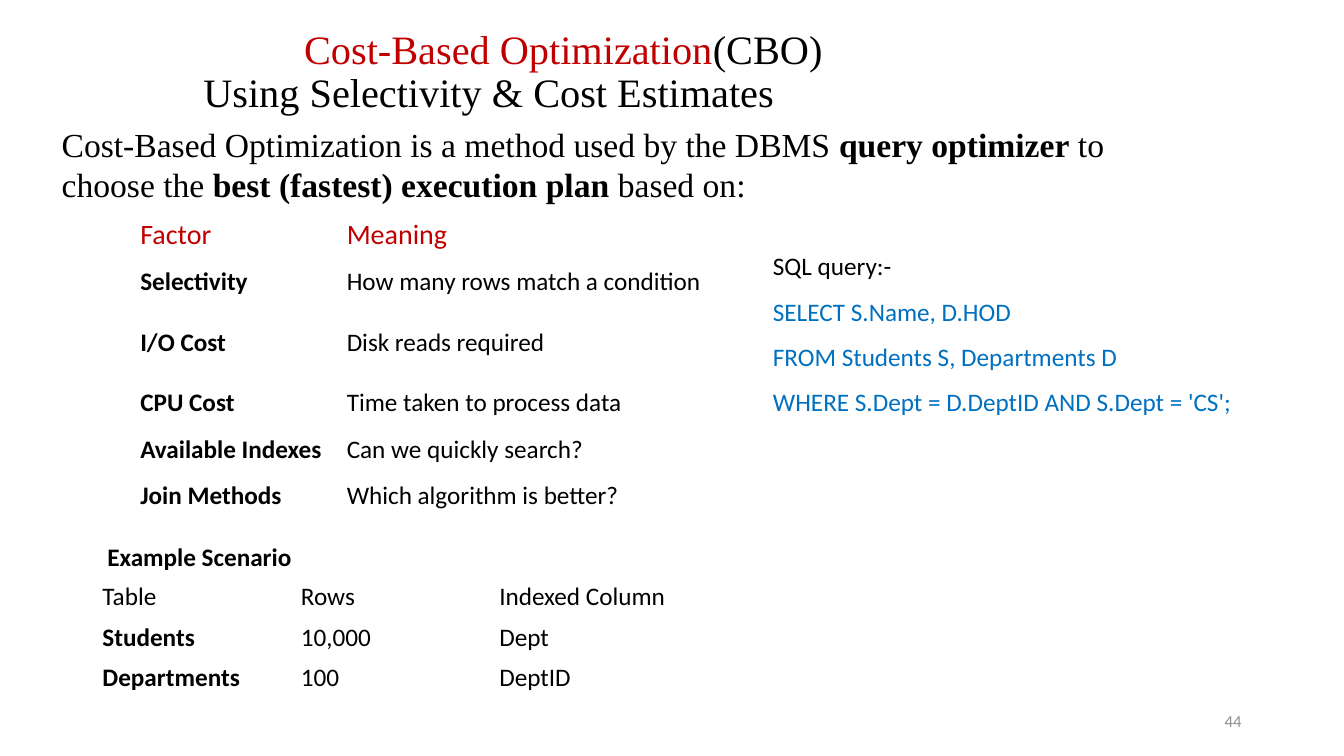
import lxml.etree
import pptx
import pptx.dml.color
import pptx.enum.text
import pptx.oxml.ns
import pptx.util

Pt = pptx.util.Pt
ANCHOR = pptx.enum.text.MSO_ANCHOR
ALIGN = pptx.enum.text.PP_ALIGN
qn = pptx.oxml.ns.qn


def colour(value):
    return pptx.dml.color.RGBColor.from_string(value)


class FactSlide:
    serif = "Times New Roman"
    sans = "Calibri"
    black = "000000"
    red = "C00000"
    blue = "0070C0"
    grey = "8C8C8C"

    def __init__(self, deck):
        self.slide = deck.slides.add_slide(deck.slide_layouts[5])

    def style(self, paragraph, font, size, ink, bold=False):
        for run in paragraph.runs:
            run.font.name = font
            run.font.size = Pt(size)
            run.font.bold = bold
            run.font.color.rgb = colour(ink)

    def write_parts(self, paragraph, parts):
        for part in parts:
            paragraph.add_run().text = part

    def tab_stops(self, paragraph, positions):
        stops = lxml.etree.SubElement(paragraph._p.get_or_add_pPr(), qn("a:tabLst"))
        for position in positions:
            lxml.etree.SubElement(stops, qn("a:tab"), pos=str(Pt(position)), algn="l")

    def title(self, box, first_line, second_line, accent):
        heading = self.slide.shapes.title
        heading.left, heading.top, heading.width, heading.height = map(Pt, box)
        frame = heading.text_frame
        frame.auto_size = pptx.enum.text.MSO_AUTO_SIZE.NONE
        frame.vertical_anchor = ANCHOR.MIDDLE
        line = frame.paragraphs[0]
        line.alignment = ALIGN.LEFT
        line.line_spacing = 0.9
        self.tab_stops(line, (72, 144))
        self.write_parts(line, first_line)
        line.add_line_break()
        self.write_parts(line, second_line)
        self.style(line, self.serif, 28.8, self.black)
        line.runs[accent].font.color.rgb = colour(self.red)

    def text(self, box, content, anchor=ANCHOR.TOP):
        frame = self.slide.shapes.add_textbox(*map(Pt, box)).text_frame
        frame.word_wrap = True
        frame.vertical_anchor = anchor
        frame.text = content
        return frame.paragraphs

    def label(self, box, content, bold=False):
        self.style(self.text(box, content)[0], self.sans, 18, self.black, bold)

    def statement(self, box, parts, strong):
        sentence = self.text(box, "")[0]
        self.write_parts(sentence, parts)
        self.style(sentence, self.serif, 24, self.black)
        for index in strong:
            sentence.runs[index].font.bold = True

    def query(self, box, lines):
        caption, *clauses = self.text(box, "\n".join(lines))
        self.style(caption, self.sans, 18, self.black)
        for clause in clauses:
            clause.line_spacing = 1.5
            self.style(clause, self.sans, 18, self.blue)

    def page_number(self, box, number):
        page = self.text(box, number, ANCHOR.MIDDLE)[0]
        page.alignment = ALIGN.RIGHT
        self.style(page, self.sans, 12, self.grey)

    def table(self, left, top, widths, heights, rows, head_size, head_ink):
        grid = self.slide.shapes.add_table(
            len(rows), len(widths), Pt(left), Pt(top),
            Pt(sum(widths)), Pt(sum(heights))).table
        grid.first_row = False
        grid.horz_banding = False
        for column, width in zip(grid.columns, widths):
            column.width = Pt(width)
        for row, height in zip(grid.rows, heights):
            row.height = Pt(height)
        for r, row in enumerate(rows):
            size, ink = (18, self.black) if r else (head_size, head_ink)
            for c, value in enumerate(row):
                cell = grid.cell(r, c)
                cell.fill.background()
                cell.vertical_anchor = ANCHOR.MIDDLE
                cell.text_frame.text = value
                self.style(cell.text_frame.paragraphs[0], self.sans, size, ink,
                           bold=r > 0 and c == 0)


def main():
    deck = pptx.Presentation()
    deck.slide_width = Pt(960)
    deck.slide_height = Pt(540)
    page = FactSlide(deck)

    page.title((66, 28.5, 773, 47.5),
               ["\t\t", "Cost-Based Optimization", "(CBO)"],
               ["\tUsing Selectivity & Cost Estimates"], accent=1)
    page.page_number((678, 500.5, 216, 29), "44")
    page.table(93, 150.5, [147.5, 278], [34.5, 33, 53.5, 33, 33, 33], [
        ("Factor", "Meaning"),
        ("Selectivity", "How many rows match a condition"),
        ("I/O Cost", "Disk reads required"),
        ("CPU Cost", "Time taken to process data"),
        ("Available Indexes", "Can we quickly search?"),
        ("Join Methods", "Which algorithm is better?"),
    ], 20, page.red)
    page.statement((37, 85, 812, 65.5), [
        "Cost-Based Optimization is a method used by the DBMS ",
        "query optimizer", " to choose the ",
        "best (fastest) execution plan", " based on:"], strong=(1, 3))
    page.table(66, 412, [141.75] * 3, [28.8] * 3, [
        ("Table", "Rows", "Indexed Column"),
        ("Students", "10,000", "Dept"),
        ("Departments", "100", "DeptID"),
    ], 18, page.black)
    page.label((65.5, 383, 480, 29), " Example Scenario", bold=True)
    page.query((545, 175.5, 409, 124), [
        "SQL query:-",
        "SELECT S.Name, D.HOD",
        "FROM Students S, Departments D",
        "WHERE S.Dept = D.DeptID AND S.Dept = 'CS';"])

    deck.save("out.pptx")


if __name__ == "__main__":
    main()
